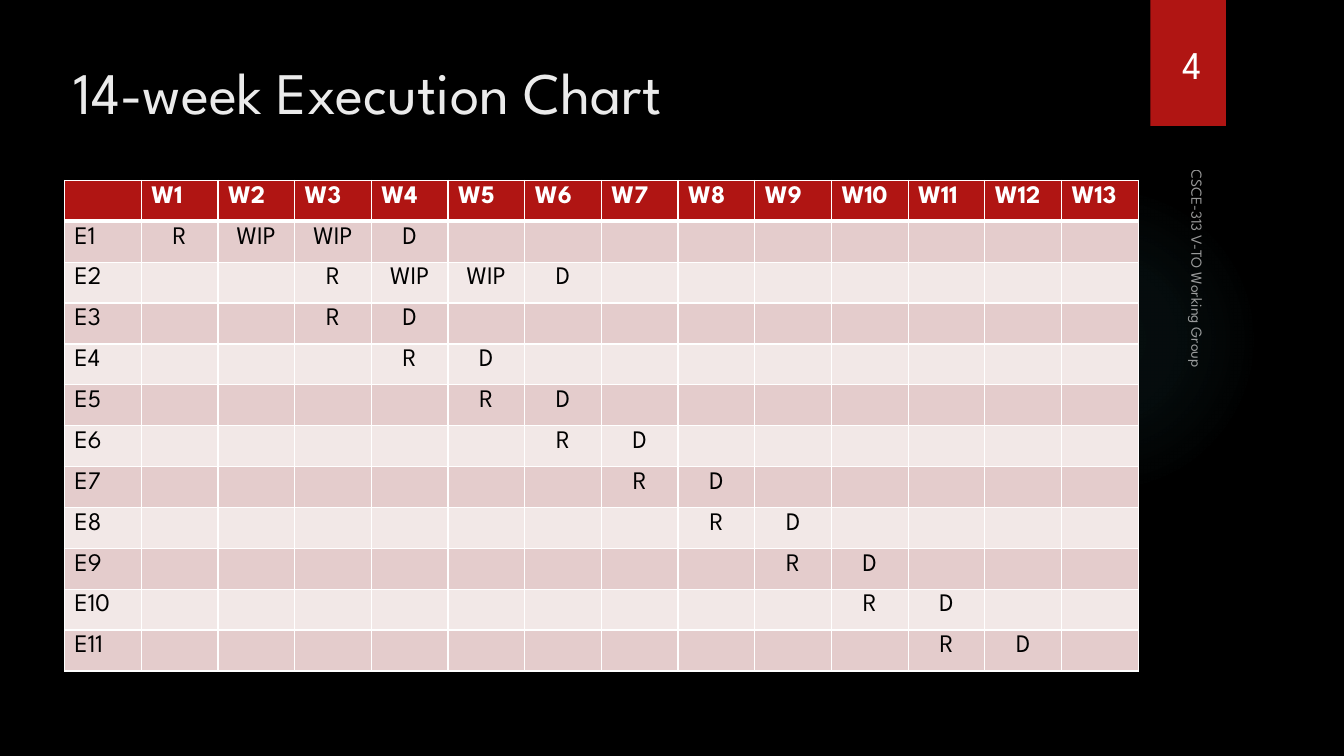
from dataclasses import dataclass

from pptx import Presentation
from pptx.dml.color import RGBColor
from pptx.enum.shapes import MSO_SHAPE as Shape
from pptx.enum.text import MSO_ANCHOR as Anchor, PP_ALIGN as Align
from pptx.oxml import parse_xml
from pptx.oxml.ns import nsdecls, qn
from pptx.util import Inches, Pt

FONT = "League Spartan"
COLORS = {
    "background": "000000", "title": "EBEBEB", "white": "FFFFFF",
    "black": "000000", "red": "B01513", "odd": "E4CCCC", "even": "F2E8E7",
    "glow": "50B9C1",
}
WEEKS = 13


@dataclass(frozen=True)
class Exercise:
    name: str
    start: int
    stages: tuple[str, ...] = ("R", "D")


@dataclass(frozen=True)
class Label:
    text: str
    box: tuple[float, float, float, float]
    size: float
    align: Align = Align.LEFT
    rotation: float = 0
    opacity: int = 100


EXERCISES = [
    Exercise("E1", 1, ("R", "WIP", "WIP", "D")),
    Exercise("E2", 3, ("R", "WIP", "WIP", "D")),
    *(Exercise(f"E{n}", n) for n in range(3, 12)),
]
LABELS = [
    Label("CSCE-313 V-TO Working Group", (9.79, 3.53, 4.22, 0.33), 11,
          rotation=90, opacity=60),
    Label("4", (11.36, 0.08, 0.92, 0.84), 28, Align.CENTER),
]


def rgb(name: str) -> RGBColor:
    return RGBColor.from_string(COLORS[name])


def write(tf, text: str, *, size: float = 18, color: str = "white",
          bold: bool = False, align: Align = Align.LEFT) -> None:
    p = tf.paragraphs[0]
    p.alignment = align
    r = p.add_run()
    r.text = text
    r.font.name, r.font.size, r.font.bold = FONT, Pt(size), bold
    r.font.color.rgb = rgb(color)


def add_block(slide, kind: Shape, box: tuple[float, ...]):
    sp = slide.shapes.add_shape(kind, *map(Inches, box))
    sp.shadow.inherit = False
    sp.line.fill.background()
    return sp


def add_glow(slide) -> None:
    sp = add_block(slide, Shape.OVAL, (9.41, 1.83, 3.08, 3.08))
    stops = "".join(
        f'<a:gs pos="{pos * 1000}"><a:srgbClr val="{COLORS["glow"]}">'
        f'<a:alpha val="{alpha * 1000}"/></a:srgbClr></a:gs>'
        for pos, alpha in ((0, 7), (36, 6), (69, 0)))
    sp.element.spPr.find(qn("a:prstGeom")).addnext(parse_xml(
        f'<a:gradFill {nsdecls("a")}><a:gsLst>{stops}</a:gsLst>'
        '<a:path path="circle"><a:fillToRect l="50000" t="50000" r="50000" '
        'b="50000"/></a:path></a:gradFill>'))


def add_label(slide, label: Label) -> None:
    sp = slide.shapes.add_textbox(*map(Inches, label.box))
    sp.rotation = label.rotation
    tf = sp.text_frame
    tf.word_wrap, tf.vertical_anchor = True, Anchor.BOTTOM
    write(tf, label.text, size=label.size, align=label.align)
    if label.opacity < 100:
        for clr in sp.element.iter(qn("a:srgbClr")):
            clr.append(parse_xml(
                f'<a:alpha {nsdecls("a")} val="{label.opacity * 1000}"/>'))


def style_cell(cell, fill: str, top: int = 1, bottom: int = 1) -> None:
    tc_pr = cell._tc.get_or_add_tcPr()
    for side, width in (("L", 1), ("R", 1), ("T", top), ("B", bottom)):
        tc_pr.append(parse_xml(
            f'<a:ln{side} {nsdecls("a")} w="{Pt(width)}"><a:solidFill>'
            f'<a:srgbClr val="{COLORS["white"]}"/></a:solidFill></a:ln{side}>'))
    cell.fill.solid()
    cell.fill.fore_color.rgb = rgb(fill)


def add_schedule(slide) -> None:
    table = slide.shapes.add_table(
        len(EXERCISES) + 1, WEEKS + 1,
        *map(Inches, (0.64, 1.79, 10.65, 4.87))).table

    # Header row
    for col in range(WEEKS + 1):
        cell = table.cell(0, col)
        style_cell(cell, "red", bottom=3)
        if col:
            write(cell.text_frame, f"W{col}", bold=True)

    # One banded row per exercise
    for row, exercise in enumerate(EXERCISES, 1):
        for col in range(WEEKS + 1):
            style_cell(table.cell(row, col), "odd" if row % 2 else "even",
                       top=3 if row == 1 else 1)
        write(table.cell(row, 0).text_frame, exercise.name, color="black")
        for week, stage in enumerate(exercise.stages, exercise.start):
            write(table.cell(row, week).text_frame, stage, color="black",
                  align=Align.CENTER)


def main() -> None:
    prs = Presentation()
    prs.slide_width, prs.slide_height = Inches(13.33), Inches(7.5)
    slide = prs.slides.add_slide(prs.slide_layouts[5])
    slide.background.fill.solid()
    slide.background.fill.fore_color.rgb = rgb("background")

    # Backdrop
    add_glow(slide)
    tab = add_block(slide, Shape.RECTANGLE, (11.41, 0, 0.75, 1.25))
    tab.fill.solid()
    tab.fill.fore_color.rgb = rgb("red")

    # Title
    title = slide.shapes.title
    title.left, title.top, title.width, title.height = map(
        Inches, (0.63, 0.5, 10.6, 1.09))
    tf = title.text_frame
    tf.vertical_anchor, tf.margin_bottom = Anchor.MIDDLE, Inches(0.34)
    write(tf, "14-week Execution Chart", size=42, color="title")

    # Schedule, footer and page number
    add_schedule(slide)
    for label in LABELS:
        add_label(slide, label)

    prs.save("out.pptx")


if __name__ == "__main__":
    main()
